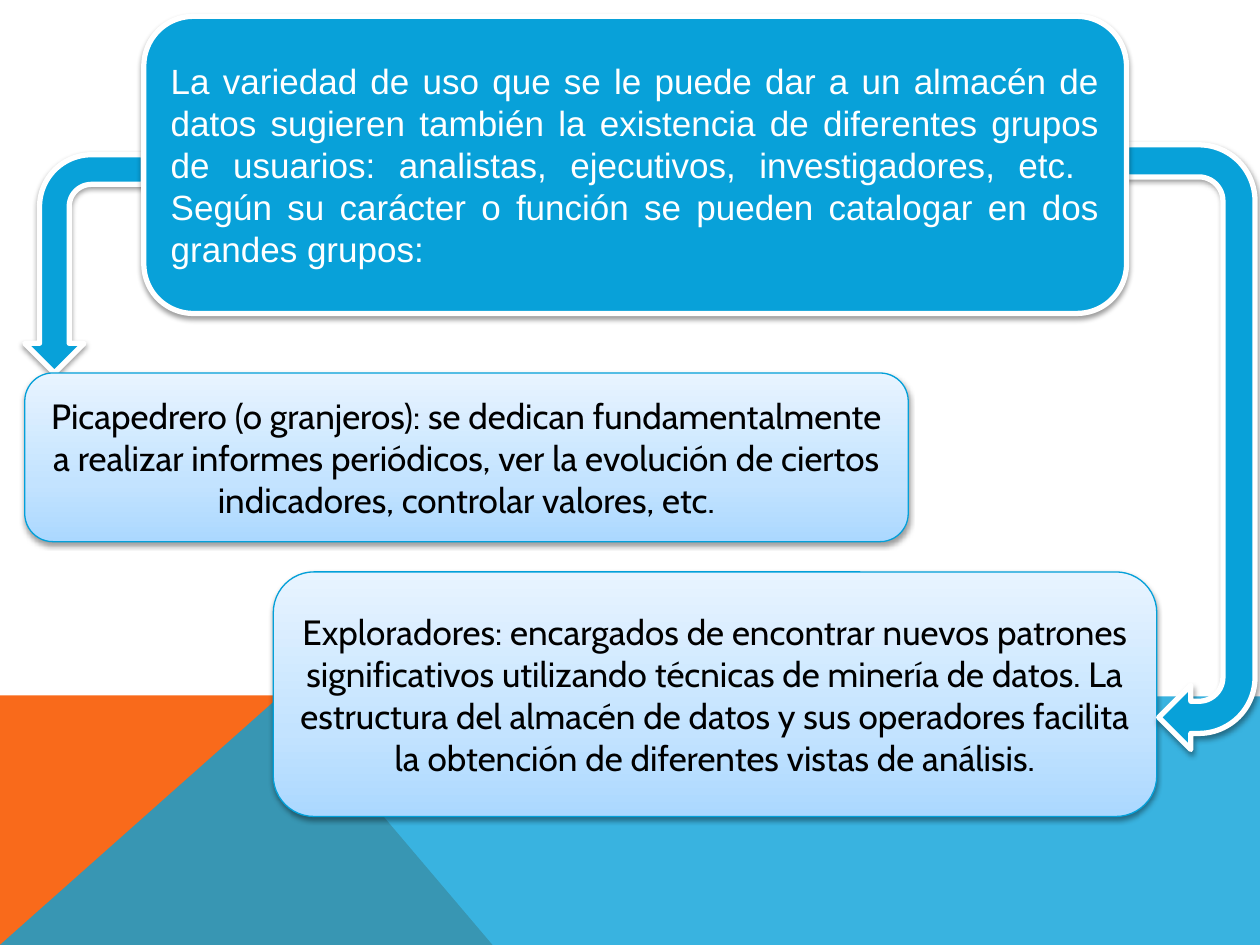
from dataclasses import dataclass

from lxml.etree import SubElement
from pptx import Presentation
from pptx.dml.color import RGBColor
from pptx.enum.shapes import MSO_SHAPE
from pptx.enum.text import MSO_ANCHOR, PP_ALIGN
from pptx.oxml.ns import qn
from pptx.util import Cm, Pt


@dataclass(frozen=True)
class Theme:
    blue: str = "08A1D9"
    orange: str = "F96A1B"
    white: str = "FFFFFF"
    black: str = "000000"
    card_line: str = "03A0D9"
    card_stops: tuple = ((0, "ABD8FF"), (35, "C3E3FF"), (100, "E8F4FF"))
    text_size: int = 20
    intro_font: str = "Arial"
    card_font: str = "Cabin"
    thick: float = 3
    thin: float = 0.75


@dataclass(frozen=True)
class Box:
    """A region in centimetres."""
    left: float
    top: float
    width: float
    height: float

    @property
    def right(self):
        return self.left + self.width

    @property
    def bottom(self):
        return self.top + self.height

    def lengths(self):
        return Cm(self.left), Cm(self.top), Cm(self.width), Cm(self.height)


THEME = Theme()
SLIDE = Box(0, 0, 25.4, 19.05)

INTRO = (
    "La variedad de uso que se le puede dar a un almacén de datos sugieren "
    "también la existencia de diferentes grupos de usuarios: analistas, "
    "ejecutivos, investigadores, etc.  Según su carácter o función se pueden "
    "catalogar en dos grandes grupos:"
)
FARMERS = (
    "Picapedrero (o granjeros): se dedican fundamentalmente a realizar informes "
    "periódicos, ver la evolución de ciertos indicadores, controlar valores, etc."
)
EXPLORERS = (
    "Exploradores: encargados de encontrar nuevos patrones significativos "
    "utilizando técnicas de minería de datos. La estructura del almacén de datos "
    "y sus operadores facilita la obtención de diferentes vistas de análisis."
)


def add_color(parent, color, alpha=None):
    rgb = SubElement(parent, qn("a:srgbClr"), val=color)
    if alpha is not None:
        SubElement(rgb, qn("a:alpha"), val=str(alpha * 1000))


def fill_solid(shape, color):
    shape.fill.solid()
    shape.fill.fore_color.rgb = RGBColor.from_string(color)


def fill_gradient(shape, stops):
    shape.fill.gradient()
    shape.fill.gradient_angle = 90
    stop_list = shape.element.spPr.find(qn("a:gradFill")).find(qn("a:gsLst"))
    for stop in list(stop_list):
        stop_list.remove(stop)
    for position, color in stops:
        add_color(SubElement(stop_list, qn("a:gs"), pos=str(position * 1000)), color)


def outline(shape, color, width):
    shape.line.color.rgb = RGBColor.from_string(color)
    shape.line.width = Pt(width)


def drop_shadow(shape):
    shape.shadow.inherit = False
    effects = shape.element.spPr.find(qn("a:effectLst"))
    shadow = SubElement(effects, qn("a:outerShdw"), blurRad=str(Pt(3.1)),
                        dist=str(Pt(1.6)), dir="5400000", rotWithShape="0")
    add_color(shadow, THEME.black, 38)


def write(shape, text, font, color, align):
    frame = shape.text_frame
    frame.word_wrap = True
    frame.vertical_anchor = MSO_ANCHOR.MIDDLE
    frame.text = text
    paragraph = frame.paragraphs[0]
    paragraph.alignment = align
    for run in paragraph.runs:
        run.font.name = font
        run.font.size = Pt(THEME.text_size)
        run.font.color.rgb = RGBColor.from_string(color)


def add_turned_arrow(shapes, kind, box, flipped=False):
    """Place an arrow turned by 90 degrees so that it fills the box as seen."""
    left = box.left + (box.width - box.height) / 2
    top = box.top + (box.height - box.width) / 2
    arrow = shapes.add_shape(kind, *Box(left, top, box.height, box.width).lengths())
    arrow.rotation = 90
    if flipped:
        arrow.element.spPr.find(qn("a:xfrm")).set("flipV", "1")
    fill_solid(arrow, THEME.blue)
    outline(arrow, THEME.white, THEME.thick)
    drop_shadow(arrow)


def add_card(shapes, box, text):
    card = shapes.add_shape(MSO_SHAPE.ROUNDED_RECTANGLE, *box.lengths())
    fill_gradient(card, THEME.card_stops)
    outline(card, THEME.card_line, THEME.thin)
    drop_shadow(card)
    write(card, text, THEME.card_font, THEME.black, PP_ALIGN.CENTER)


def add_background(shapes, box):
    """Draw the orange corner and the translucent blue band over it."""
    apex = (box.left + 5.66, box.top)
    corner = (box.left, box.bottom)
    orange = [corner, (box.left, box.top), apex, (box.left + 9.93, box.bottom)]
    blue = [corner, apex, (box.right, box.top + 0.02), (box.right, box.bottom)]
    for points, color, alpha in ((orange, THEME.orange, None), (blue, THEME.blue, 80)):
        start, *others = [(Cm(x), Cm(y)) for x, y in points]
        builder = shapes.build_freeform(*start)
        builder.add_line_segments(others, close=True)
        area = builder.convert_to_shape()
        fill_solid(area, color)
        area.line.fill.background()
        area.shadow.inherit = False
        if alpha:
            rgb = area.element.spPr.find(qn("a:solidFill")).find(qn("a:srgbClr"))
            SubElement(rgb, qn("a:alpha"), val=str(alpha * 1000))


def add_explorers(shapes, box):
    """Card at the bottom left, with the arrow coming round on the right."""
    arrow_width, card_height = 2.59, 4.93
    group = shapes.add_group_shape().shapes
    card = Box(box.left, box.bottom - card_height, box.width - 1.98, card_height)
    add_card(group, card, EXPLORERS)
    arrow = Box(box.right - arrow_width, box.top, arrow_width, 12.19)
    add_turned_arrow(group, MSO_SHAPE.U_TURN_ARROW, arrow)


def add_farmers(shapes, box):
    """Arrow at the top left, pointing down to the card."""
    arrow_height = 4.4
    group = shapes.add_group_shape().shapes
    arrow = Box(box.left, box.top, 2.39, arrow_height)
    add_turned_arrow(group, MSO_SHAPE.BENT_ARROW, arrow, flipped=True)
    card = Box(box.left, arrow.bottom, box.width, box.height - arrow_height)
    add_card(group, card, FARMERS)


def add_intro(shapes, box):
    intro = shapes.add_shape(MSO_SHAPE.ROUNDED_RECTANGLE, *box.lengths())
    fill_solid(intro, THEME.blue)
    outline(intro, THEME.white, THEME.thick)
    drop_shadow(intro)
    write(intro, INTRO, THEME.intro_font, THEME.white, PP_ALIGN.JUSTIFY)


def main():
    presentation = Presentation()
    presentation.slide_width = Cm(SLIDE.width)
    presentation.slide_height = Cm(SLIDE.height)
    shapes = presentation.slides.add_slide(presentation.slide_layouts[6]).shapes
    add_background(shapes, Box(0, 14.02, SLIDE.width, SLIDE.height - 14.02))
    add_explorers(shapes, Box(5.51, 2.92, 19.79, 13.54))
    add_farmers(shapes, Box(0.5, 3.12, 17.81, 7.8))
    add_intro(shapes, Box(2.9, 0.33, 19.81, 5.99))
    presentation.save("out.pptx")


if __name__ == "__main__":
    main()
